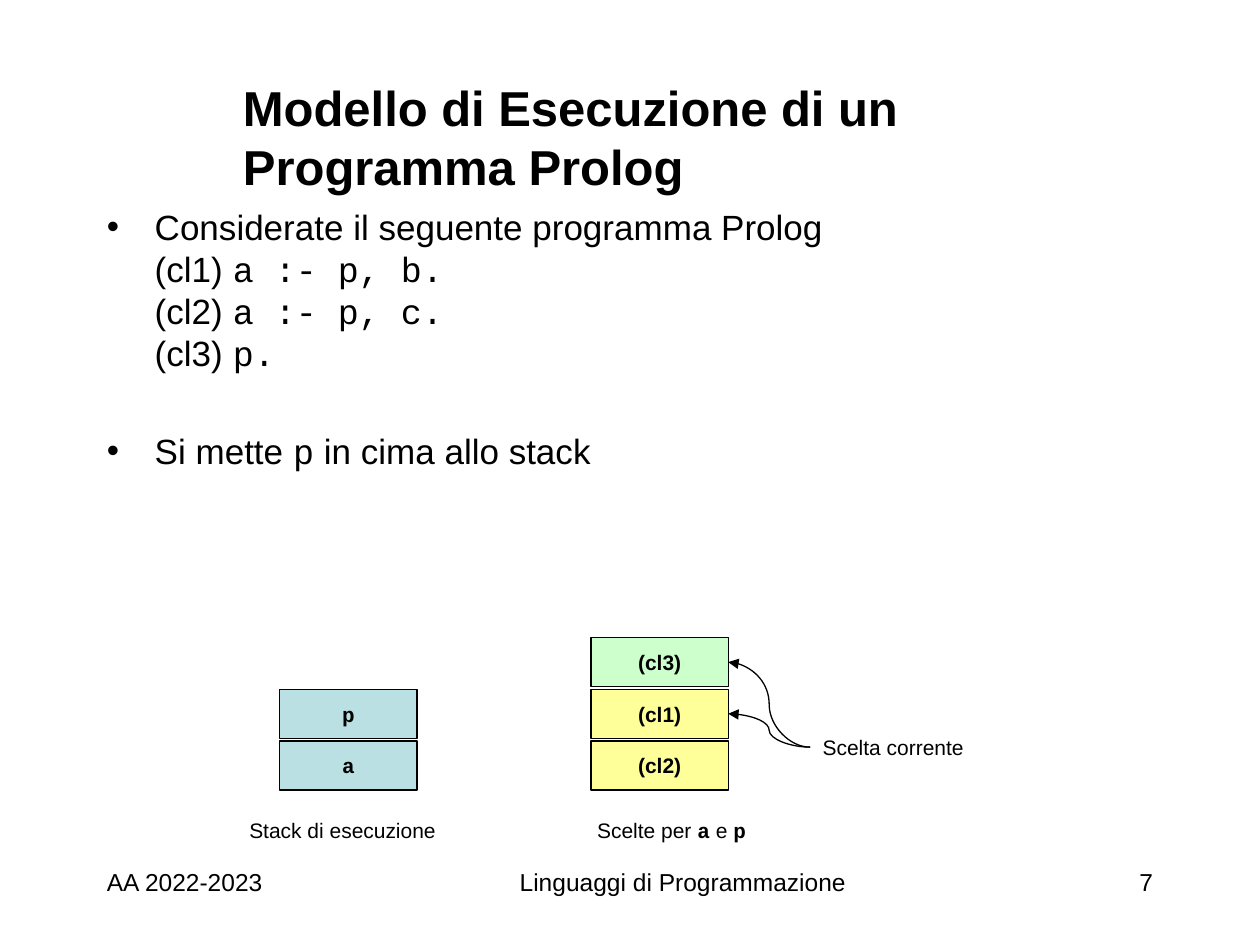
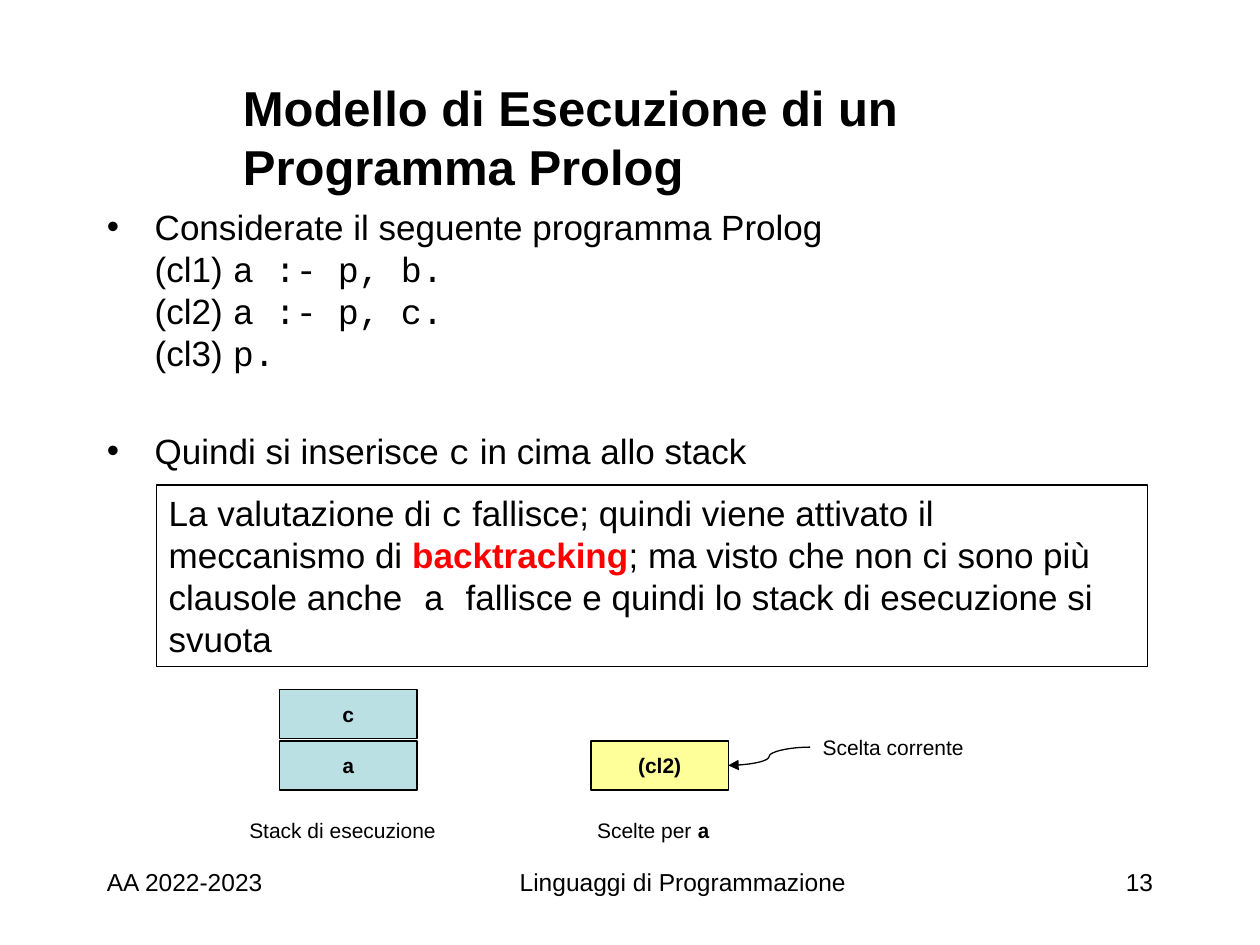
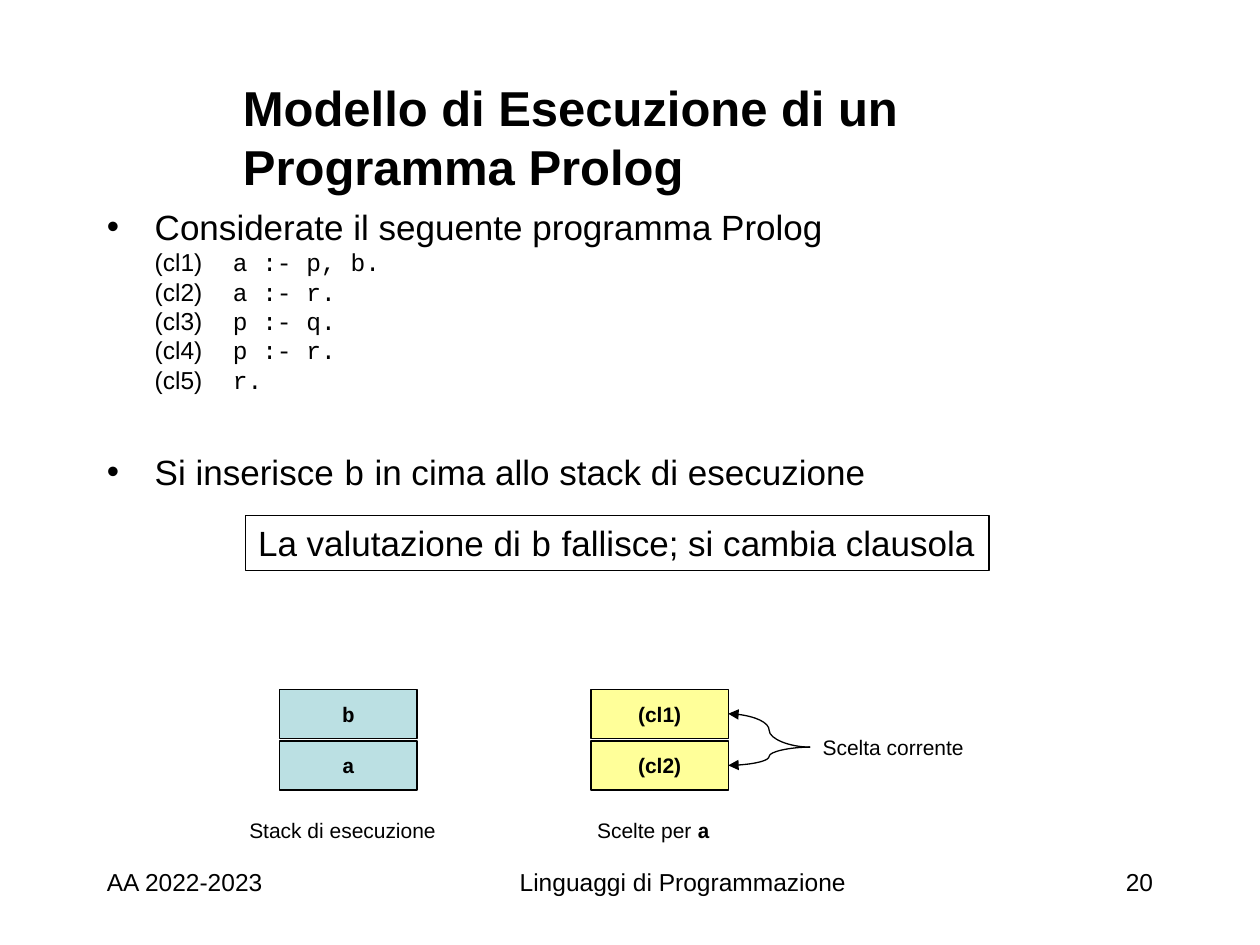
from copy import deepcopy
from dataclasses import dataclass
from typing import NamedTuple

from lxml.etree import SubElement
from pptx import Presentation
from pptx.dml.color import RGBColor
from pptx.enum.shapes import MSO_CONNECTOR as Link, MSO_SHAPE as Preset
from pptx.enum.text import MSO_ANCHOR as Anchor, PP_ALIGN as Align
from pptx.oxml.ns import qn
from pptx.util import Inches, Pt


@dataclass(frozen=True)
class Theme:
    """Colours, fonts, type sizes and line width of the deck."""
    ink: str = "000000"
    accent: str = "FF0000"
    stack: str = "BBE0E3"
    choice: str = "FFFF99"
    new_choice: str = "CCFFCC"
    sans: str = "Arial"
    mono: str = "Courier New"
    title: float = 28
    body: float = 20
    small: float = 14
    label: float = 12
    line: float = 0.75
    bullet_gap: float = 32


THEME = Theme()


class Area(NamedTuple):
    """A rectangle in inches."""
    left: float
    top: float
    width: float
    height: float

    def lengths(self) -> list:
        """Give the four values as lengths."""
        return [Inches(value) for value in self]


class Span(NamedTuple):
    """A stretch of text with one look."""
    text: str
    mono: bool = False
    bold: bool = False
    color: str = THEME.ink
    size: float = 0


class Note(NamedTuple):
    """A framed remark."""
    area: Area
    spans: list


class Cell(NamedTuple):
    """A cell of a stack."""
    text: str
    fill: str
    mono: bool = False


@dataclass(frozen=True)
class Step:
    """One step of the execution; cells are listed from the bottom up."""
    number: int
    program: list
    action: list
    stack: list
    choices: list
    current: list
    caption: list
    body_height: float = 3.41
    note: Note | None = None


TITLE_AREA = Area(1.83, 0.67, 7.42, 0.83)
STACK_LEFT, CHOICE_LEFT = 2.22, 4.69
CELL_WIDTH, CELL_HEIGHT, CELL_PITCH, BOTTOM_ROW = 1.09, 0.39, 0.41, 5.88
POINTER = (6.43, 5.93)
INDENT = 0.38


def write_spans(para, spans: list, size: float) -> None:
    """Append spans to a paragraph, turning newlines into line breaks."""
    for span in spans:
        for index, text in enumerate(span.text.split("\n")):
            if index:
                para.add_line_break()
                para._p[-1].append(deepcopy(run._r.rPr))
            if not text:
                continue
            run = para.add_run()
            run.text = text
            look = {"name": THEME.mono if span.mono else THEME.sans,
                    "size": Pt(span.size or size), "bold": span.bold}
            for name, value in look.items():
                setattr(run.font, name, value)
            run.font.color.rgb = RGBColor.from_string(span.color)


def add_text(page, area: Area, spans: list, size: float,
             align=Align.LEFT, anchor=Anchor.TOP) -> None:
    """Add a wrapping text box with one paragraph."""
    frame = page.shapes.add_textbox(*area.lengths()).text_frame
    frame.word_wrap, frame.vertical_anchor = True, anchor
    frame.paragraphs[0].alignment = align
    write_spans(frame.paragraphs[0], spans, size)


def add_bullets(page, area: Area, items: list) -> None:
    """Add a bulleted list with a wide gap between its items."""
    frame = page.shapes.add_textbox(*area.lengths()).text_frame
    frame.word_wrap = True
    for index, spans in enumerate(items):
        para = frame.add_paragraph() if index else frame.paragraphs[0]
        if index:
            para.space_before = Pt(THEME.bullet_gap)
        properties = para._p.get_or_add_pPr()
        properties.set("marL", str(Inches(INDENT)))
        properties.set("indent", str(Inches(-INDENT)))
        SubElement(properties, qn("a:buFont"), typeface=THEME.sans)
        SubElement(properties, qn("a:buChar"), char="•")
        write_spans(para, spans, THEME.body)


def add_box(page, area: Area, spans: list, size: float, fill: str = "",
            wrap: bool = True, align=Align.LEFT, anchor=Anchor.TOP) -> None:
    """Add an outlined rectangle with text, filled when a colour is given."""
    box = page.shapes.add_shape(Preset.RECTANGLE, *area.lengths())
    box.shadow.inherit = False
    if fill:
        box.fill.solid()
        box.fill.fore_color.rgb = RGBColor.from_string(fill)
    else:
        box.fill.background()
    box.line.color.rgb = RGBColor.from_string(THEME.ink)
    box.line.width = Pt(THEME.line)
    frame = box.text_frame
    frame.word_wrap, frame.vertical_anchor = wrap, anchor
    frame.paragraphs[0].alignment = align
    write_spans(frame.paragraphs[0], spans, size)


def add_stack(page, left: float, cells: list) -> None:
    """Pile up cells from the bottom row."""
    for row, cell in enumerate(cells):
        area = Area(left, BOTTOM_ROW - row * CELL_PITCH,
                    CELL_WIDTH, CELL_HEIGHT)
        add_box(page, area, [Span(cell.text, cell.mono, True)], THEME.label,
                cell.fill, False, Align.CENTER, Anchor.MIDDLE)


def add_pointer(page, row: int) -> None:
    """Draw a curved arrow from the pointer label to a choice cell."""
    end = (CHOICE_LEFT + CELL_WIDTH,
           BOTTOM_ROW - row * CELL_PITCH + CELL_HEIGHT / 2)
    arrow = page.shapes.add_connector(
        Link.CURVE, *[Inches(value) for value in POINTER + end])
    arrow.line.color.rgb = RGBColor.from_string(THEME.ink)
    arrow.line.width = Pt(THEME.line)
    SubElement(arrow.line._get_or_add_ln(), qn("a:tailEnd"), type="triangle")
    SubElement(arrow._element.spPr, qn("a:effectLst"))


def add_frame(page, number: int) -> None:
    """Add the title and the three footer parts."""
    add_text(page, TITLE_AREA,
             [Span("Modello di Esecuzione di un Programma Prolog", bold=True)],
             THEME.title, anchor=Anchor.MIDDLE)
    for left, width, text, align in (
            (0.75, 2.5, "AA 2022-2023", Align.LEFT),
            (3.17, 4.5, "Linguaggi di Programmazione", Align.CENTER),
            (7.25, 2, str(number), Align.RIGHT)):
        add_text(page, Area(left, 6.83, width, 0.5), [Span(text)],
                 THEME.small, align)


def add_step(deck, step: Step) -> None:
    """Build the slide of one execution step."""
    page = deck.slides.add_slide(deck.slide_layouts[6])
    add_frame(page, step.number)
    intro = Span("Considerate il seguente programma Prolog\n")
    add_bullets(page, Area(0.75, 1.58, 8.5, step.body_height),
                [[intro, *step.program], step.action])
    add_stack(page, STACK_LEFT, step.stack)
    add_stack(page, CHOICE_LEFT, step.choices)
    for left, top, width, spans in (
            (1.88, 6.44, 1.79, [Span("Stack di esecuzione")]),
            (4.64, 6.44, 1.45, step.caption),
            (6.43, 5.78, 1.78, [Span("Scelta corrente")])):
        add_text(page, Area(left, top, width, 0.3), spans, THEME.label)
    for row in step.current:
        add_pointer(page, row)
    if step.note:
        add_box(page, step.note.area, step.note.spans, THEME.body)


def clauses(rules: list, size: float = 0) -> list:
    """Number the clauses of a program, one to a line."""
    spans = []
    for index, rule in enumerate(rules, 1):
        end = "\n" if index < len(rules) else ""
        spans += [Span(f"(cl{index})\t", size=size),
                  Span(rule + end, mono=True, size=size)]
    return spans


def around(before: str, symbol: str, after: str) -> list:
    """Set a code symbol between two pieces of plain text."""
    return [Span(before), Span(symbol, mono=True), Span(after)]


def goals(names: str) -> list:
    """Make the cells of the execution stack."""
    return [Cell(name, THEME.stack, True) for name in names]


SHORT_PROGRAM = clauses(["a :- p, b.", "a :- p, c.", "p."])
LONG_PROGRAM = clauses(["a :- p, b.", "a :- r.", "p :- q.", "p :- r.", "r."],
                       THEME.small)
FIRST, SECOND = Cell("(cl1)", THEME.choice), Cell("(cl2)", THEME.choice)
THIRD = Cell("(cl3)", THEME.new_choice)
CAPTION = [Span("Scelte per "), Span("a", True, True)]

STEPS = [
    Step(7, SHORT_PROGRAM, around("Si mette ", "p", " in cima allo stack"),
         goals("ap"), [SECOND, FIRST, THIRD], [2, 1],
         [*CAPTION, Span(" e "), Span("p", True, True)]),
    Step(13, SHORT_PROGRAM,
         around("Quindi si inserisce ", "c", " in cima allo stack"),
         goals("ac"), [SECOND], [0], CAPTION,
         note=Note(Area(1.24, 3.85, 7.87, 1.44), [
             *around("La valutazione di ", "c", " fallisce; quindi viene "
                     "attivato il meccanismo di "),
             Span("backtracking", bold=True, color=THEME.accent),
             *around("; ma visto che non ci sono più clausole anche", " a ",
                     "fallisce e quindi lo stack di esecuzione si svuota")])),
    Step(20, LONG_PROGRAM,
         around("Si inserisce ", "b", " in cima allo stack di esecuzione"),
         goals("ab"), [SECOND, FIRST], [1, 0], CAPTION, 2.73,
         Note(Area(1.95, 4.09, 5.9, 0.44),
              around("La valutazione di ", "b",
                     " fallisce; si cambia clausola"))),
]


def main() -> None:
    """Build and save the deck."""
    deck = Presentation()
    deck.slide_width, deck.slide_height = Inches(10), Inches(7.5)
    for step in STEPS:
        add_step(deck, step)
    deck.save("out.pptx")


main()
